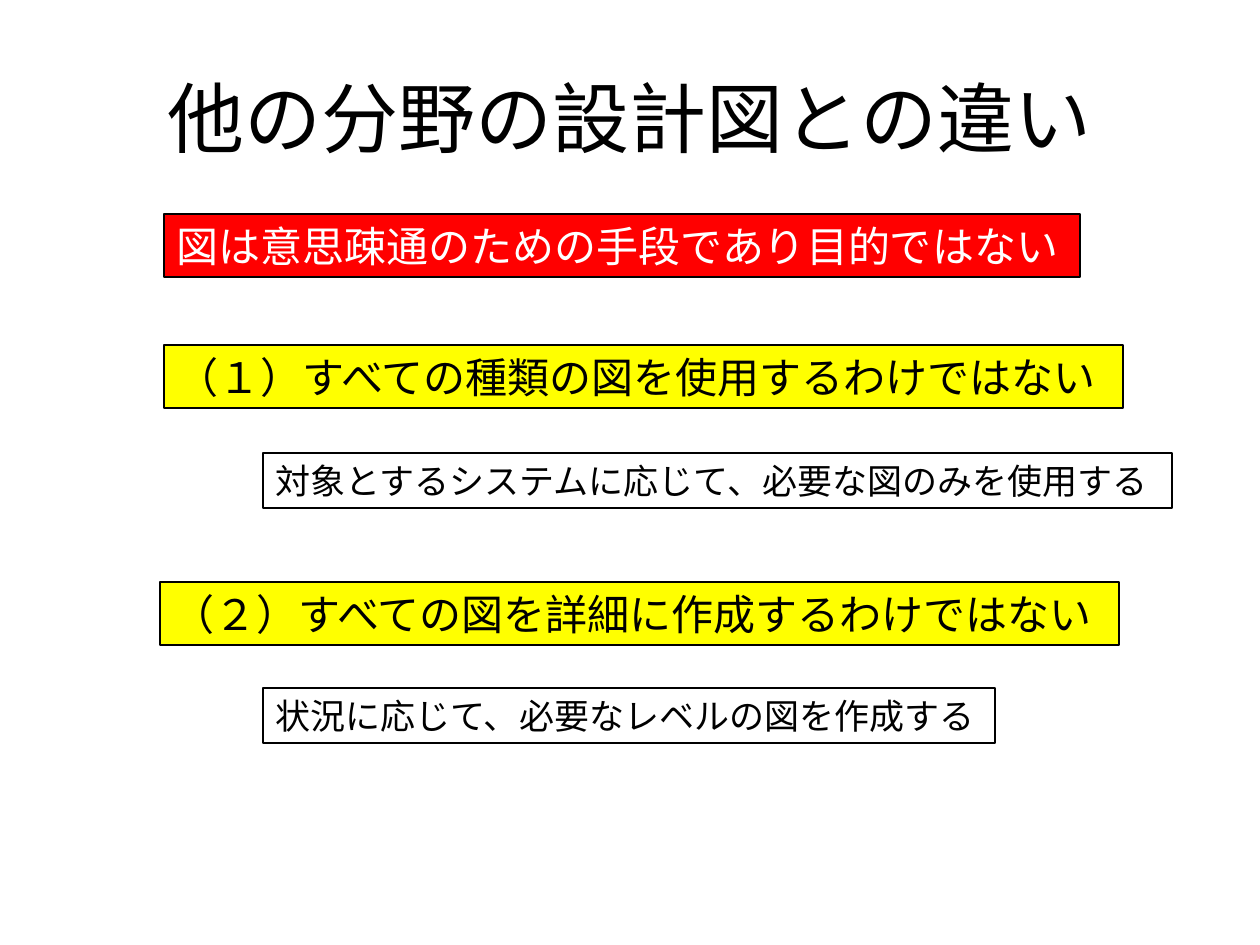
"""Build the slide on how these diagrams differ from other design drawings."""
import pptx
import pptx.dml.color
import pptx.enum.shapes
import pptx.enum.text
import pptx.util

ALIGN = pptx.enum.text.PP_ALIGN
ANCHOR = pptx.enum.text.MSO_ANCHOR
FIT = pptx.enum.text.MSO_AUTO_SIZE
RECT = pptx.enum.shapes.MSO_SHAPE.RECTANGLE

SCALE = 914400 / 126
SIZE = (1260, 945)
FONT = "Calibri"
TITLE = ("他の分野の設計図との違い", (63, 38, 1134, 157))

STYLES = {
    "key": {"size": 24, "high": 63, "fill": "FF0000", "ink": "FFFFFF"},
    "point": {"size": 24, "high": 63, "fill": "FFFF00", "ink": "000000"},
    "note": {"size": 20, "high": 55, "fill": "FFFFFF", "ink": "000000"},
}
BOXES = [
    ("key", 164, 214, 916, "図は意思疎通のための手段であり目的ではない"),
    ("point", 164, 345, 959, "（１）すべての種類の図を使用するわけではない"),
    ("note", 263, 453, 909, "対象とするシステムに応じて、必要な図のみを使用する"),
    ("point", 160, 582, 959, "（２）すべての図を詳細に作成するわけではない"),
    ("note", 263, 688, 732, "状況に応じて、必要なレベルの図を作成する"),
]
TITLE_FRAME = {"word_wrap": True, "vertical_anchor": ANCHOR.MIDDLE}
BOX_FRAME = {
    "word_wrap": False,
    "auto_size": FIT.SHAPE_TO_FIT_TEXT,
    "vertical_anchor": ANCHOR.TOP,
}


def px(num):
    return pptx.util.Emu(round(num * SCALE))


def color(code):
    return pptx.dml.color.RGBColor.from_string(code)


def write(shape, text, size, ink, align, frame):
    body = shape.text_frame
    for name, value in frame.items():
        setattr(body, name, value)
    para = body.paragraphs[0]
    para.alignment = align
    run = para.add_run()
    run.text = text
    for name, value in {"name": FONT, "size": pptx.util.Pt(size)}.items():
        setattr(run.font, name, value)
    run.font.color.rgb = color(ink)


def add_box(slide, kind, left, top, wide, text):
    style = STYLES[kind]
    area = map(px, (left, top, wide, style["high"]))
    box = slide.shapes.add_shape(RECT, *area)
    box.shadow.inherit = False
    box.fill.solid()
    box.fill.fore_color.rgb = color(style["fill"])
    box.line.color.rgb = color("000000")
    box.line.width = pptx.util.Pt(0.75)
    write(box, text, style["size"], style["ink"], ALIGN.LEFT, BOX_FRAME)


def main():
    deck = pptx.Presentation()
    deck.slide_width, deck.slide_height = map(px, SIZE)
    slide = deck.slides.add_slide(deck.slide_layouts[6])
    text, area = TITLE
    title = slide.shapes.add_textbox(*map(px, area))
    write(title, text, 44, "000000", ALIGN.CENTER, TITLE_FRAME)
    for box in BOXES:
        add_box(slide, *box)
    deck.save("out.pptx")


if __name__ == "__main__":
    main()
